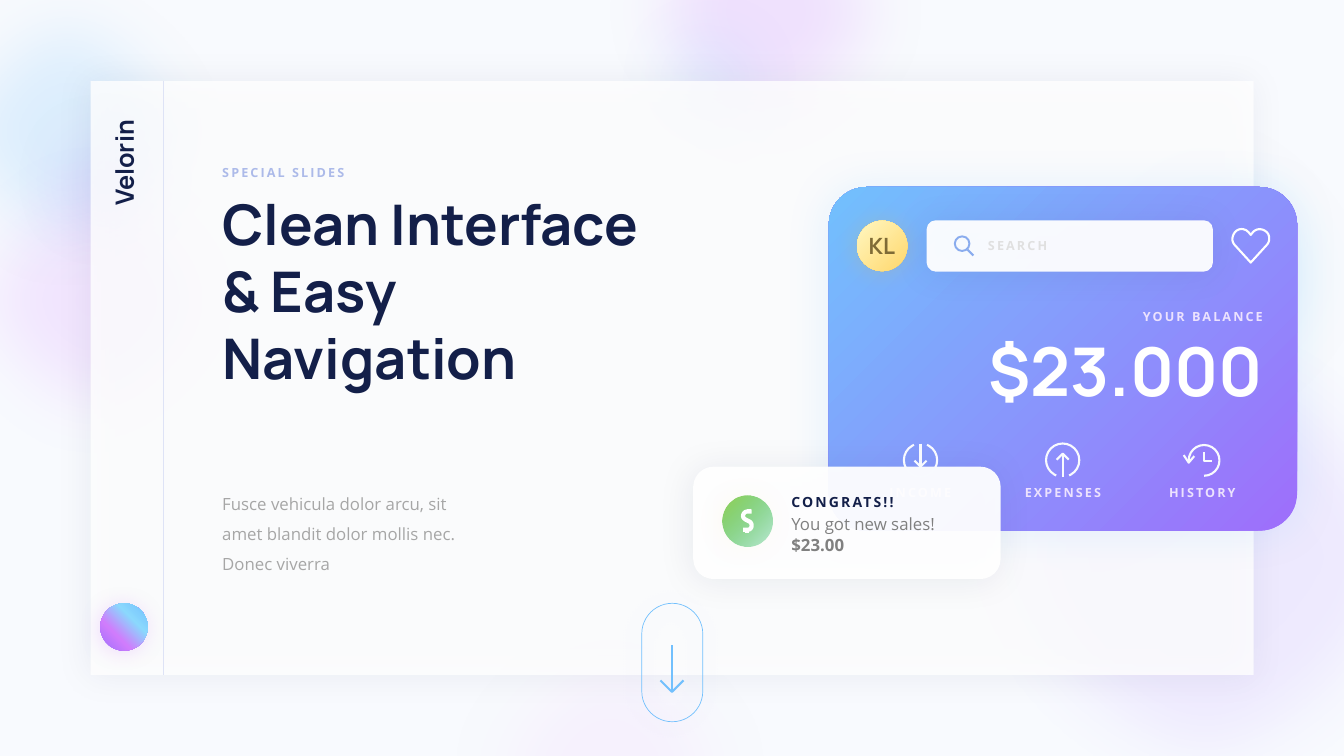
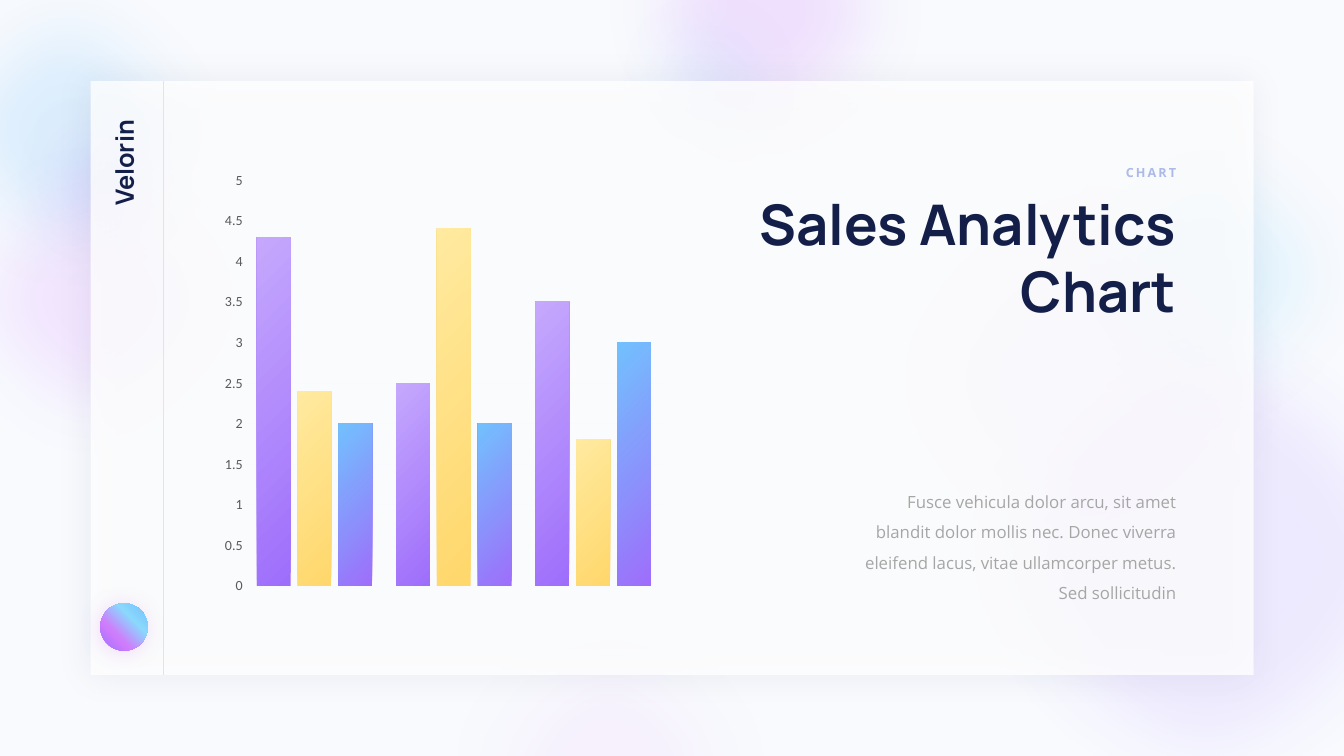
from dataclasses import dataclass
from typing import Optional

import lxml.etree
import pptx
import pptx.chart.data
import pptx.dml.color
import pptx.enum.chart
import pptx.enum.shapes
import pptx.enum.text
import pptx.oxml.ns
import pptx.util

PX = 9144
NAVY, VIOLET, PINK, SKY, AQUA = "131F49", "9E6EFB", "D17DFC", "72C0FD", "8BD8FD"
PAPER, WHITE, LILAC, GOLD = "F8FAFE", "FFFFFF", "ECE2FE", "FFD76B"
HEADING, BODY = "Manrope", "Open Sans"
KIND = pptx.enum.shapes.MSO_SHAPE
ALIGN = pptx.enum.text.PP_ALIGN
qn = pptx.oxml.ns.qn


@dataclass(frozen=True)
class Shadow:
    color: str
    alpha: int
    blur: int


@dataclass(frozen=True)
class Blob:
    x: int
    y: int
    side: int
    color: str
    alpha: int


@dataclass(frozen=True)
class Style:
    size: int
    font: str
    color: str
    bold: bool = True
    spacing: int = 0


@dataclass(frozen=True)
class Look:
    fill: Optional[str] = None
    alpha: int = 100
    stops: tuple = ()
    angle: int = 135
    line: Optional[str] = None
    width: float = 1
    shadow: Optional[Shadow] = None


SOFT = Shadow(NAVY, 8, 51)
GLASS = Look(WHITE, 95, shadow=SOFT)
VIOLET_SKY = ((0, VIOLET), (100, SKY))
STROKE = Look(line=PAPER, width=3)
TITLE = Style(80, HEADING, NAVY)
KICKER = Style(18, BODY, "ACBAE9", spacing=3)
COPY = Style(24, BODY, "A6A6A6", bold=False)
CAPTION = Style(18, BODY, LILAC, spacing=3)
BLOBS = (
    Blob(-240, -113, 745, SKY, 20), Blob(-188, 222, 745, PINK, 17),
    Blob(-53, 95, 523, VIOLET, 19), Blob(1854, 567, 1076, VIOLET, 12),
    Blob(1703, 292, 916, PINK, 10), Blob(2019, 173, 745, AQUA, 20),
    Blob(837, 1156, 745, "F1CDFC", 20), Blob(1146, -350, 745, PINK, 20),
    Blob(1146, -102, 523, SKY, 19),
)


def rgb(color: str):
    return pptx.dml.color.RGBColor.from_string(color)


def child(parent, tag: str, **values):
    return lxml.etree.SubElement(parent, qn(tag), {key: str(value) for key, value in values.items()})


def add_color(parent, color: str, alpha: int = 100) -> None:
    node = child(parent, "a:srgbClr", val=color)
    if alpha < 100:
        child(node, "a:alpha", val=alpha * 1000)


def add_gradient(fill, owner, stops: tuple, angle: int = 135) -> None:
    fill.gradient()
    fill.gradient_angle = angle
    stop_list = owner.find(".//" + qn("a:gsLst"))
    for old in list(stop_list):
        stop_list.remove(old)
    for position, *color in stops:
        add_color(child(stop_list, "a:gs", pos=position * 1000), *color)


def paint(shape, look: Look) -> None:
    shape.shadow.inherit = False
    if look.stops:
        add_gradient(shape.fill, shape._element, look.stops, look.angle)
    elif look.fill:
        shape.fill.solid()
        shape.fill.fore_color.rgb = rgb(look.fill)
        if look.alpha < 100:
            node = shape._element.spPr.find(qn("a:solidFill"))[0]
            child(node, "a:alpha", val=look.alpha * 1000)
    else:
        shape.fill.background()
    if look.line:
        shape.line.color.rgb = rgb(look.line)
        shape.line.width = pptx.util.Pt(look.width)
    else:
        shape.line.fill.background()
    if look.shadow:
        effects = shape._element.spPr.find(qn("a:effectLst"))
        node = child(effects, "a:outerShdw", blurRad=look.shadow.blur * 12700, dist=38100,
                     dir=8100000, algn="tr", rotWithShape=0)
        add_color(node, look.shadow.color, look.shadow.alpha)


def add_figure(page, kind, x: int, y: int, w: int, h: int, look: Look, adjust: tuple = (), turn: int = 0):
    shape = page.shapes.add_shape(kind, x * PX, y * PX, w * PX, h * PX)
    for index, value in enumerate(adjust):
        shape.adjustments[index] = value
    shape.rotation = turn
    paint(shape, look)
    return shape


def add_line(page, x1: int, y1: int, x2: int, y2: int, color: str, width: float) -> None:
    line = page.shapes.add_connector(pptx.enum.shapes.MSO_CONNECTOR.STRAIGHT,
                                     x1 * PX, y1 * PX, x2 * PX, y2 * PX)
    line.line.color.rgb = rgb(color)
    line.line.width = pptx.util.Pt(width)
    child(line._element.spPr, "a:effectLst")


def add_outline(page, start: tuple, steps: tuple, look: Look, close: bool = False) -> None:
    points = [start]
    for step in steps:
        if len(step) == 2:
            points.append(step)
            continue
        knots = (points[-1], step[:2], step[2:4], step[4:])
        for index in range(1, 9):
            t = index / 8
            weights = ((1 - t) ** 3, 3 * t * (1 - t) ** 2, 3 * t * t * (1 - t), t ** 3)
            points.append(tuple(sum(weight * knot[axis] for weight, knot in zip(weights, knots))
                                for axis in (0, 1)))
    scaled = [(x * PX, y * PX) for x, y in points]
    builder = page.shapes.build_freeform(*scaled[0])
    builder.add_line_segments(scaled[1:], close=close)
    paint(builder.convert_to_shape(), look)


def add_text(page, x: int, y: int, w: int, h: int, spans: tuple, align=ALIGN.LEFT,
             wrap: bool = True, turn: int = 0, leading: Optional[float] = None) -> None:
    box = page.shapes.add_textbox(x * PX, y * PX, w * PX, h * PX)
    box.rotation = turn
    box.text_frame.word_wrap = wrap
    box.text_frame.auto_size = pptx.enum.text.MSO_AUTO_SIZE.SHAPE_TO_FIT_TEXT
    para = box.text_frame.paragraphs[0]
    para.alignment = align
    if leading:
        para.line_spacing = leading
    for text, style in spans:
        span = para.add_run()
        span.text = text
        values = {"size": pptx.util.Pt(style.size), "name": style.font, "bold": style.bold}
        for name, value in values.items():
            setattr(span.font, name, value)
        span.font.color.rgb = rgb(style.color)
        if style.spacing:
            span._r.get_or_add_rPr().set("spc", str(style.spacing * 100))


def add_page(deck):
    page = deck.slides.add_slide(deck.slide_layouts[6])
    page.background.fill.solid()
    page.background.fill.fore_color.rgb = rgb(PAPER)
    for blob in BLOBS:
        shape = add_figure(page, KIND.OVAL, blob.x, blob.y, blob.side, blob.side,
                           Look(blob.color, blob.alpha))
        child(shape._element.spPr.find(qn("a:effectLst")), "a:softEdge", rad=1270000)
    add_figure(page, KIND.RECTANGLE, 180, 161, 2307, 1178, Look(WHITE, 80, shadow=SOFT))
    add_line(page, 323, 160, 323, 1340, "DEE3F6", 0.5)
    rainbow = ((0, VIOLET), (34, PINK), (67, AQUA), (100, SKY))
    add_figure(page, KIND.OVAL, 199, 1197, 94, 94,
               Look(stops=rainbow, angle=45, shadow=Shadow(PINK, 26, 31)))
    add_text(page, 142, 278, 208, 71, (("Velorin", Style(36, HEADING, NAVY)),), wrap=False, turn=270)
    return page


def add_arrow_icon(page, center: int, tip: int, tail: int, arc: tuple) -> None:
    add_figure(page, KIND.ARC, center - 33, 880, 66, 66, STROKE, tuple(angle * 0.6 for angle in arc))
    back = tip + (12 if tail > tip else -12)
    add_outline(page, (center - 12, back), ((center, tip), (center + 12, back)), STROKE)
    add_line(page, center, tail, center, tip, PAPER, 3)


def add_search(page) -> None:
    add_figure(page, KIND.ROUNDED_RECTANGLE, 1838, 437, 568, 102, GLASS, (0.18,))
    add_figure(page, KIND.DONUT, 1892, 467, 33, 33, Look("8AACEE"), (0.12,))
    add_line(page, 1919, 495, 1931, 507, "8AACEE", 3)
    add_text(page, 1950, 467, 150, 40, (("SEARCH", Style(18, BODY, "E0E0E0", spacing=3)),), wrap=False)


def add_heart(page) -> None:
    steps = (
        (2450, 487), (2444, 481, 2443, 473, 2447, 465), (2451, 456, 2461, 452, 2470, 456),
        (2473, 457, 2474, 459, 2476, 460), (2481, 466), (2486, 460),
        (2493, 453, 2504, 453, 2512, 460), (2513, 461, 2515, 463, 2516, 465),
        (2519, 473, 2518, 481, 2512, 487),
    )
    add_outline(page, (2481, 521), steps, Look(line=WHITE, width=3), close=True)


def add_dollar(page) -> None:
    stroke = Look(line=WHITE, width=6)
    steps = (
        (1482, 1015), (1478, 1015, 1474, 1019, 1474, 1024), (1474, 1027, 1476, 1029, 1479, 1031),
        (1487, 1035), (1490, 1037, 1491, 1040, 1491, 1043), (1491, 1047, 1488, 1051, 1484, 1051),
        (1474, 1051),
    )
    add_outline(page, (1491, 1015), steps, stroke)
    for x, y in ((1482, 1051), (1486, 1009)):
        add_line(page, x, y, x, y + 6, WHITE, 6)


def build_interface(deck) -> None:
    page = add_page(deck)
    add_figure(page, KIND.ROUNDED_RECTANGLE, 1644, 371, 929, 682,
               Look(stops=VIOLET_SKY, shadow=Shadow("1898FC", 10, 64)), (0.11,))
    add_text(page, 431, 371, 929, 414, (("Clean Interface & Easy Navigation", TITLE),))
    add_text(page, 431, 954, 509, 185,
             (("Fusce vehicula dolor arcu, sit amet blandit dolor mollis nec. Donec viverra", COPY),),
             leading=1.5)
    add_figure(page, KIND.ROUNDED_RECTANGLE, 1216, 1254, 235, 121,
               Look(line=SKY, shadow=Shadow(SKY, 19, 36)), (0.5,), turn=90)
    add_text(page, 431, 323, 269, 40, (("SPECIAL SLIDES", KICKER),), wrap=False)
    add_outline(page, (1310, 1350), ((1333, 1373), (1356, 1350)), Look(line=SKY, width=3))
    add_line(page, 1333, 1280, 1333, 1373, SKY, 3)
    add_search(page)
    add_heart(page)
    add_text(page, 1890, 648, 625, 172, (("$23.000", Style(96, HEADING, WHITE)),), ALIGN.RIGHT)
    add_text(page, 2249, 608, 266, 40, (("YOUR BALANCE", CAPTION),), ALIGN.RIGHT, wrap=False)
    for x, w, text in ((1751, 149, "INCOME"), (2020, 177, "EXPENSES"), (2306, 158, "HISTORY")):
        add_text(page, x, 957, w, 40, ((text, CAPTION),), ALIGN.CENTER, wrap=False)
    add_figure(page, KIND.ROUNDED_RECTANGLE, 1375, 926, 610, 223, GLASS, (0.18,))
    add_arrow_icon(page, 1826, 926, 880, (293, 247))
    add_arrow_icon(page, 2108, 900, 946, (113, 67))
    add_outline(page, (2388, 897), ((2388, 915), (2404, 915)), STROKE)
    add_outline(page, (2348, 903), ((2358, 918), (2369, 905)), STROKE)
    add_figure(page, KIND.ARC, 2358, 883, 61, 61, STROKE, (170 * 0.6, 90 * 0.6))
    add_figure(page, KIND.OVAL, 1700, 438, 100, 100,
               Look(stops=((0, GOLD), (100, "FFF7C2")), shadow=Shadow("FFC000", 19, 36)))
    add_text(page, 1707, 456, 85, 64, (("KL", Style(32, HEADING, "7F6B36")),), ALIGN.CENTER)
    add_text(page, 1560, 975, 231, 44, (("CONGRATS!!", Style(20, BODY, NAVY, spacing=3)),), wrap=False)
    add_text(page, 1560, 1015, 340, 91, (("You got new sales! ", Style(24, BODY, "808080", bold=False)),
                                         ("$23.00", Style(24, BODY, "808080"))))
    add_figure(page, KIND.OVAL, 1433, 984, 100, 100,
               Look(stops=((0, "00B050", 24), (100, "92D050")), shadow=Shadow("FFEA9F", 19, 36)))
    add_dollar(page)


def add_sales_chart(page) -> None:
    data = pptx.chart.data.CategoryChartData()
    data.categories = ["1", "2", "3"]
    rows = ((4.3, 2.5, 3.5), (2.4, 4.4, 1.8), (2, 2, 3))
    for number, values in enumerate(rows, 1):
        data.add_series(f"Series {number}", values)
    chart = page.shapes.add_chart(pptx.enum.chart.XL_CHART_TYPE.COLUMN_CLUSTERED,
                                  428 * PX, 323 * PX, 905 * PX, 874 * PX, data).chart
    chart.has_legend = chart.has_title = False
    chart.category_axis.visible = False
    axis = chart.value_axis
    settings = {"minimum_scale": 0, "maximum_scale": 5, "major_unit": 0.5,
                "major_tick_mark": pptx.enum.chart.XL_TICK_MARK.NONE}
    for name, value in settings.items():
        setattr(axis, name, value)
    axis.format.line.fill.background()
    axis.major_gridlines.format.line.color.rgb = rgb(PAPER)
    axis.major_gridlines.format.line.width = pptx.util.Pt(0.75)
    for font, size, color in ((chart.font, 10, "000000"), (axis.tick_labels.font, 20, "595959")):
        font.size, font.name = pptx.util.Pt(size), "Calibri"
        font.color.rgb = rgb(color)
    plot = chart.plots[0]
    for name, value in {"gap_width": 71, "overlap": -21, "vary_by_categories": False}.items():
        setattr(plot, name, value)
    palette = (((0, VIOLET), (100, "C5A8FD")), ((0, GOLD), (100, "FFEA9F")), VIOLET_SKY)
    for series, stops in zip(plot.series, palette):
        add_gradient(series.format.fill, series._element, stops)


def build_analytics(deck) -> None:
    page = add_page(deck)
    add_text(page, 1414, 371, 929, 279, (("Sales Analytics Chart", TITLE),), ALIGN.RIGHT)
    add_text(page, 1676, 951, 667, 246,
             (("Fusce vehicula dolor arcu, sit amet blandit dolor mollis nec. Donec viverra "
               "eleifend lacus, vitae ullamcorper metus. Sed sollicitudin", COPY),),
             ALIGN.RIGHT, leading=1.5)
    add_text(page, 2218, 323, 125, 40, (("CHART", KICKER),), ALIGN.RIGHT, wrap=False)
    add_sales_chart(page)


def main() -> None:
    deck = pptx.Presentation()
    deck.slide_width, deck.slide_height = 2666 * PX, 1500 * PX
    build_interface(deck)
    build_analytics(deck)
    deck.save("out.pptx")


if __name__ == "__main__":
    main()
